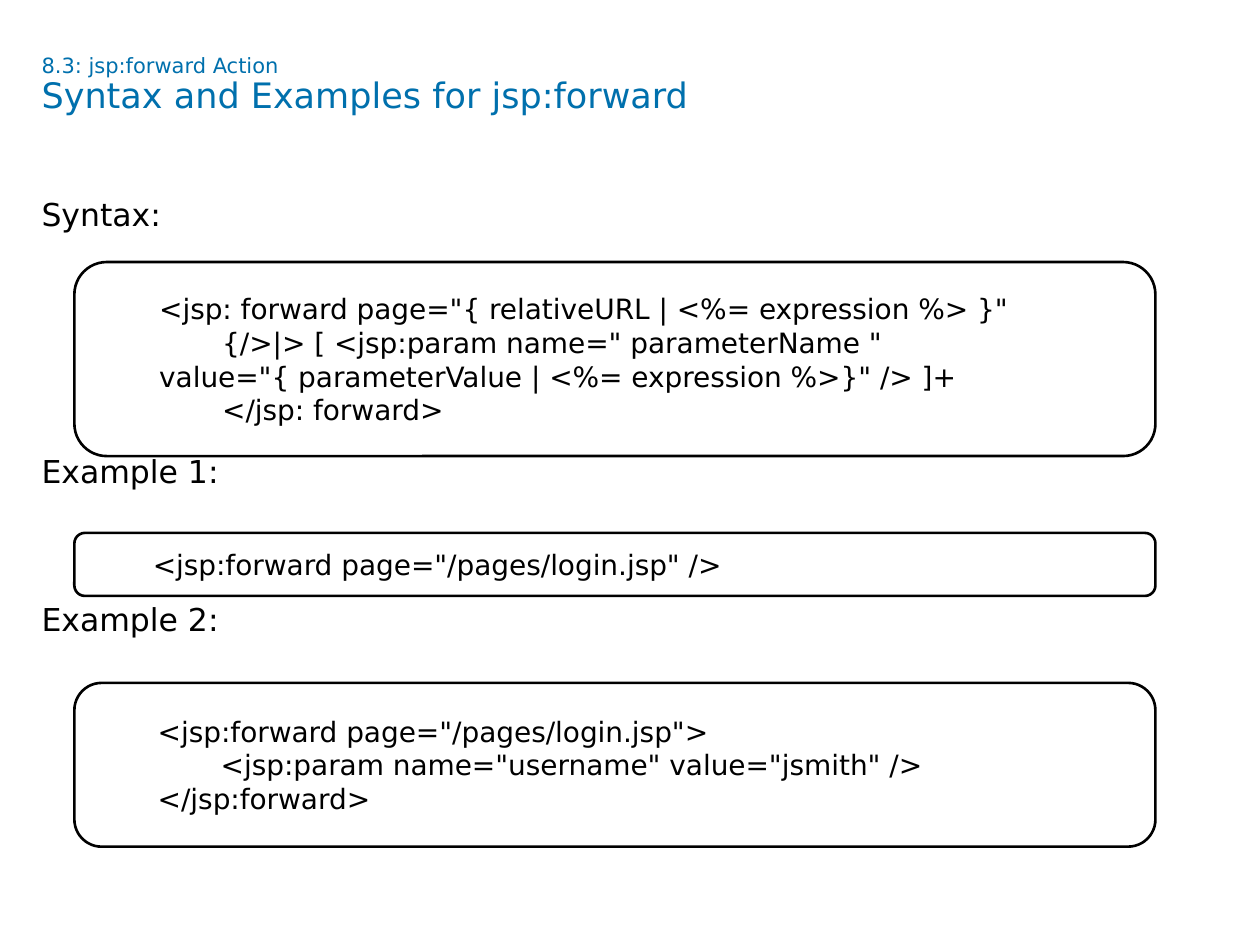
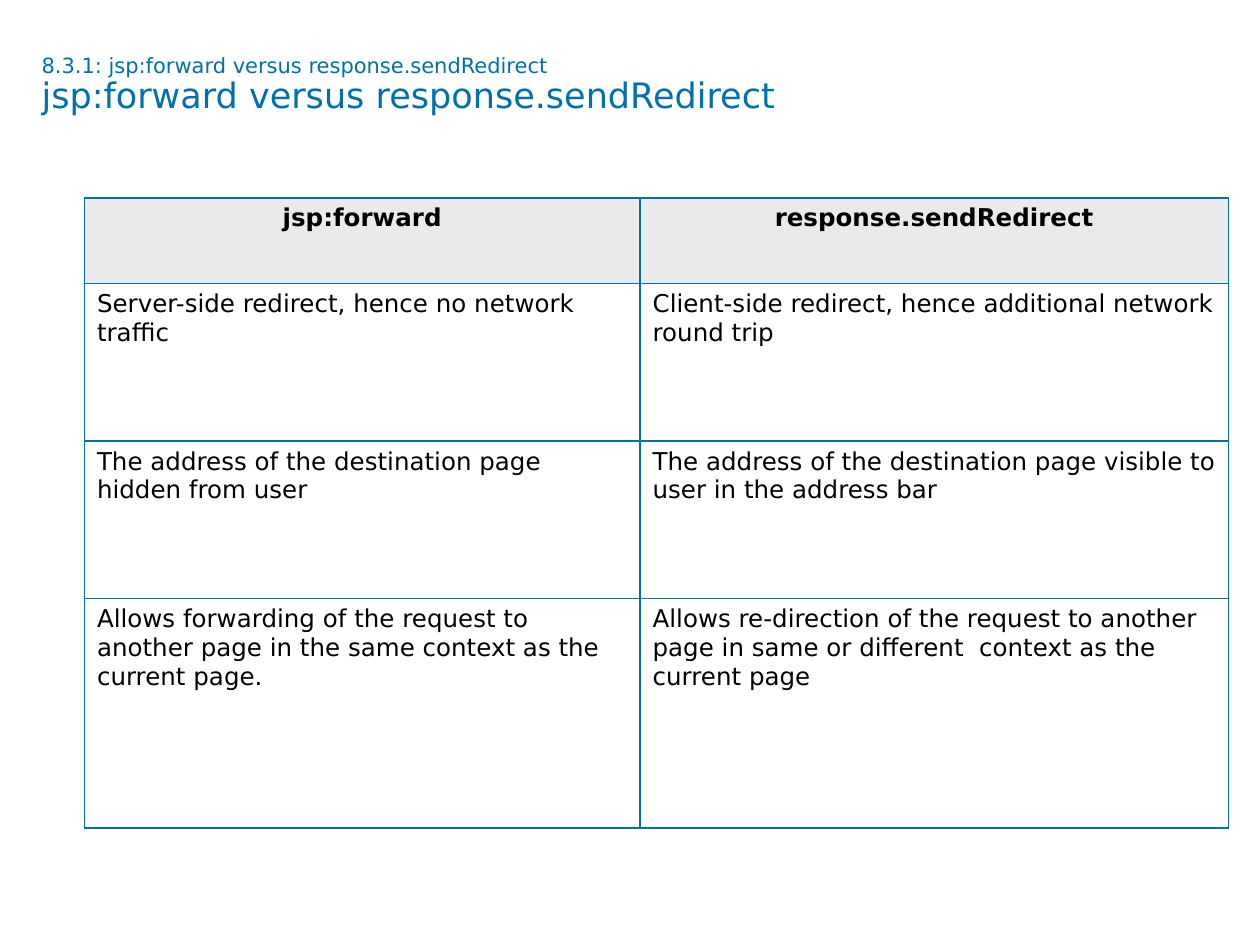
"""Builds two slides on the jsp:forward action."""
from dataclasses import dataclass

from lxml import etree
from pptx import Presentation
from pptx.dml.color import RGBColor
from pptx.enum.shapes import MSO_SHAPE
from pptx.enum.text import MSO_ANCHOR, MSO_AUTO_SIZE, PP_ALIGN
from pptx.oxml.ns import qn
from pptx.util import Inches, Pt

ROUND = MSO_SHAPE.ROUNDED_RECTANGLE
TOP, MIDDLE = MSO_ANCHOR.TOP, MSO_ANCHOR.MIDDLE
LEFT, CENTER = PP_ALIGN.LEFT, PP_ALIGN.CENTER
NO_FIT = MSO_AUTO_SIZE.NONE


@dataclass(frozen=True)
class Theme:
    font: str = "DejaVu Sans"
    blue: str = "0070AD"
    black: str = "000000"
    gray: str = "EAEAEA"
    kicker: int = 12
    title: int = 20
    label: int = 18
    code: int = 16
    cell: int = 14


THEME = Theme()

SYNTAX = {
    "kicker": "8.3: jsp:forward Action",
    "title": "Syntax and Examples for jsp:forward",
    "parts": [
        ("Syntax:", 1.62, 2.08, 1.54, [
            '<jsp: forward page="{ relativeURL | <%= expression %> }"',
            '\t{/>|> [ <jsp:param name=" parameterName " '
            'value="{ parameterValue | <%= expression %>}" /> ]+',
            "\t</jsp: forward>",
        ]),
        ("Example 1:", 3.66, 4.23, 0.5, [
            '<jsp:forward page="/pages/login.jsp" />',
        ]),
        ("Example 2:", 4.83, 5.42, 1.3, [
            '<jsp:forward page="/pages/login.jsp">',
            '\t<jsp:param name="username" value="jsmith" />',
            "</jsp:forward>",
        ]),
    ],
}

VERSUS = {
    "kicker": "8.3.1: jsp:forward versus response.sendRedirect",
    "title": "jsp:forward versus response.sendRedirect",
    "cols": [4.41, 4.67],
    "rows": [
        (0.68, "jsp:forward", "response.sendRedirect"),
        (1.25, "Server-side redirect, hence no network traffic",
         "Client-side redirect, hence additional network round trip"),
        (1.25, "The address of the destination page hidden from user",
         "The address of the destination page visible to user in the address bar"),
        (1.82, "Allows forwarding of the request to another page in the same "
         "context as the current page.",
         "Allows re-direction of the request to another page in same or "
         "different  context as the current page"),
    ],
}


def style(para, size, color=THEME.black, bold=False, align=LEFT):
    para.alignment = align
    font = para.font
    font.name, font.size, font.bold = THEME.font, Pt(size), bold
    font.color.rgb = RGBColor.from_string(color)


def strip(frame):
    frame.margin_left = frame.margin_right = 0
    frame.margin_top = frame.margin_bottom = 0
    frame.word_wrap = True
    frame.auto_size = NO_FIT
    frame.vertical_anchor = TOP


def new_slide(deck, data):
    slide = deck.slides.add_slide(deck.slide_layouts[5])
    head = slide.shapes.title
    head.left, head.top = Inches(0.33), Inches(0.44)
    head.width, head.height = Inches(9.04), Inches(0.94)
    strip(head.text_frame)
    para = head.text_frame.paragraphs[0]
    para.line_spacing = 0.9
    style(para, THEME.kicker, THEME.blue)
    para.add_run().text = data["kicker"]
    para.add_line_break()
    run = para.add_run()
    run.text = data["title"]
    run.font.size = Pt(THEME.title)
    return slide


def add_label(slide, text, top):
    box = slide.shapes.add_textbox(
        Inches(0.33), Inches(top), Inches(9.04), Inches(0.3))
    strip(box.text_frame)
    para = box.text_frame.paragraphs[0]
    para.text = text
    para.line_spacing = Pt(16.5)
    style(para, THEME.label)


def add_code(slide, lines, top, height):
    box = slide.shapes.add_shape(
        ROUND, Inches(0.59), Inches(top), Inches(8.58), Inches(height))
    box.shadow.inherit = False
    box.fill.background()
    box.line.color.rgb = RGBColor.from_string(THEME.black)
    box.line.width = Pt(1.5)
    frame = box.text_frame
    frame.word_wrap = True
    frame.vertical_anchor = MIDDLE
    for i, line in enumerate(lines):
        para = frame.add_paragraph() if i else frame.paragraphs[0]
        para.text = line
        para.level = 1
        props = para._p.get_or_add_pPr()
        props.set("marL", str(Inches(0.5)))
        props.set("indent", "0")
        style(para, THEME.code)


def add_edges(cell):
    props = cell._tc.get_or_add_tcPr()
    for side in ("lnL", "lnR", "lnT", "lnB"):
        line = etree.SubElement(props, qn(f"a:{side}"), w=str(Pt(1)))
        fill = etree.SubElement(line, qn("a:solidFill"))
        etree.SubElement(fill, qn("a:srgbClr"), val=THEME.blue)


def add_grid(slide, cols, rows):
    grid = slide.shapes.add_table(
        len(rows), len(cols), Inches(0.67), Inches(1.57),
        Inches(sum(cols)), Inches(sum(row[0] for row in rows))).table
    grid.horz_banding = grid.first_row = False
    for col, width in zip(grid.columns, cols):
        col.width = Inches(width)
    for r, (height, *texts) in enumerate(rows):
        grid.rows[r].height = Inches(height)
        for c, text in enumerate(texts):
            cell = grid.cell(r, c)
            add_edges(cell)
            if r == 0:
                cell.fill.solid()
                cell.fill.fore_color.rgb = RGBColor.from_string(THEME.gray)
            else:
                cell.fill.background()
            cell.text = text
            style(cell.text_frame.paragraphs[0], THEME.cell,
                  bold=r == 0, align=LEFT if r else CENTER)


def main():
    deck = Presentation()
    deck.slide_width, deck.slide_height = Inches(10), Inches(7.5)
    slide = new_slide(deck, SYNTAX)
    for label, y, top, height, lines in SYNTAX["parts"]:
        add_label(slide, label, y)
        add_code(slide, lines, top, height)
    add_grid(new_slide(deck, VERSUS), VERSUS["cols"], VERSUS["rows"])
    deck.save("out.pptx")


if __name__ == "__main__":
    main()
